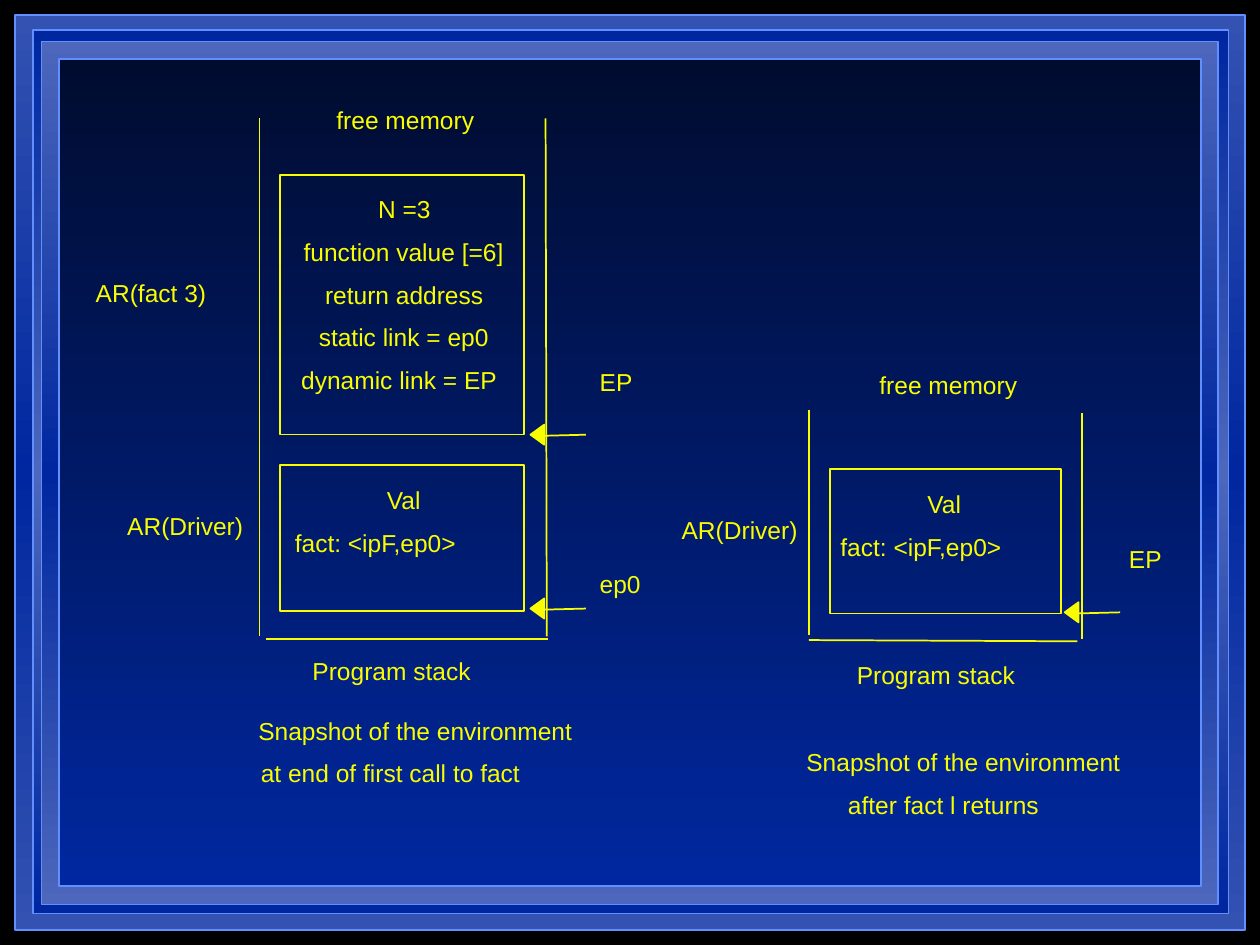
from copy import deepcopy
from pptx import Presentation
from pptx.dml.color import RGBColor as Rgb
from pptx.enum.shapes import MSO_CONNECTOR as Conn, MSO_SHAPE as Kind
from pptx.enum.text import MSO_AUTO_SIZE as Fit
from pptx.oxml.ns import qn
from pptx.util import Inches, Pt
from lxml.etree import SubElement

THEME = {
    "back": "000000", "ink": "FAFD00", "edge": "618FFD",
    "navy": "000C2F", "blue": "00279F", "mid": "3352B2", "pale": "4C67BC",
    "font": "Arial", "size": 14, "line": 1,
}
ROW, PITCH = 0.23, 0.34             # text height, step between rows
SLACK = 0.03                        # spare width that keeps each label on one line
WING, HALF, TAIL = 0.11, 0.08, 0.44  # arrow head length, half height, whole length

# left, top, width, height, colours from top to bottom
FRAMES = [
    (0.12, 0.12, 9.76, 7.26, ("mid", "blue", "mid")),
    (0.26, 0.24, 9.49, 7.01, ("blue", "pale", "blue")),
    (0.33, 0.33, 9.34, 6.85, ("pale", "blue", "pale")),
    (0.47, 0.47, 9.06, 6.56, ("navy", "blue")),
]

# boxes: left, top, width, height; walls: from x, y to x, y; tips: x, y
# texts: top of the first row, then (words, left, width) for each row
STACKS = [
    {
        "boxes": [(2.22, 3.69, 1.94, 1.16), (2.22, 1.39, 1.94, 2.06)],
        "walls": [(2.06, 0.94, 2.06, 5.05), (2.11, 5.07, 4.35, 5.07),
                  (4.33, 0.94, 4.34, 5.05)],
        "tips": [(4.21, 3.45), (4.21, 4.83)],
        "texts": [
            (0.83, [("free memory", 2.67, 1.1)]),
            (1.54, [("N =3", 3.0, 0.42),
                    ("function value [=6]", 2.41, 1.59),
                    ("return address", 2.58, 1.26),
                    ("static link = ep0", 2.53, 1.35),
                    ("dynamic link = EP", 2.39, 1.56)]),
            (2.21, [("AR(fact 3)", 0.76, 0.88)]),
            (2.91, [("EP", 4.76, 0.26)]),
            (3.85, [("Val", 3.07, 0.28), ("fact: <ipF,ep0>", 2.34, 1.3)]),
            (4.06, [("AR(Driver)", 1.01, 0.92)]),
            (4.52, [("ep0", 4.76, 0.33)]),
            (5.21, [("Program stack", 2.48, 1.26)]),
            (5.68, [("Snapshot of the environment", 2.05, 2.49),
                    ("at end of first call to fact", 2.07, 2.06)]),
        ],
    },
    {
        "boxes": [(6.59, 3.72, 1.83, 1.15)],
        "walls": [(6.42, 3.25, 6.42, 5.04), (6.42, 5.08, 8.55, 5.09),
                  (8.59, 3.28, 8.59, 5.07)],
        "tips": [(8.45, 4.86)],
        "texts": [
            (2.94, [("free memory", 6.98, 1.1)]),
            (3.88, [("Val", 7.36, 0.28), ("fact: <ipF,ep0>", 6.67, 1.3)]),
            (4.09, [("AR(Driver)", 5.41, 0.92)]),
            (4.32, [("EP", 8.96, 0.26)]),
            (5.24, [("Program stack", 6.8, 1.26)]),
            (5.93, [("Snapshot of the environment", 6.4, 2.49),
                    ("after fact l returns", 6.73, 1.52)]),
        ],
    },
]


def tint(name):
    return Rgb.from_string(THEME[name])


def inch(*vals):
    return [Inches(val) for val in vals]


def put(item, **vals):
    for name, val in vals.items():
        setattr(item, name, val)


def trace(line, name):
    line.color.rgb = tint(name)
    line.width = Pt(THEME["line"])


def add_box(slide, at, edge):
    box = slide.shapes.add_shape(Kind.RECTANGLE, *inch(*at))
    box.shadow.inherit = False
    trace(box.line, edge)
    return box


def add_frame(slide, at, names):
    """Draw a panel shaded from top to bottom in evenly spaced colours."""
    box = add_box(slide, at, "edge")
    box.fill.gradient()
    box.fill.gradient_angle = 270
    stops = box.element.spPr.find(qn("a:gradFill")).find(qn("a:gsLst"))
    for _ in names[2:]:
        stops.append(deepcopy(stops[0]))
    for num, (stop, name) in enumerate(zip(box.fill.gradient_stops, names)):
        stop.position = num / (len(names) - 1)
        stop.color.rgb = tint(name)


def add_line(slide, *ends):
    line = slide.shapes.add_connector(Conn.STRAIGHT, *inch(*ends))
    trace(line.line, "ink")
    SubElement(line.element.spPr, qn("a:effectLst"))


def add_tip(slide, x, y):
    """Draw an arrow that points left, with its tip at x, y."""
    add_line(slide, x + TAIL, y, x + 0.05, y + 0.01)
    pen = slide.shapes.build_freeform(*inch(x, y))
    pen.add_line_segments([inch(x + WING, y + HALF), inch(x + WING, y - HALF)])
    head = pen.convert_to_shape()
    head.shadow.inherit = False
    head.fill.solid()
    head.fill.fore_color.rgb = tint("ink")
    trace(head.line, "ink")


def add_text(slide, words, x, y, wide):
    frame = slide.shapes.add_textbox(*inch(x, y, wide + SLACK, ROW)).text_frame
    put(frame, margin_left=0, margin_top=0, margin_right=0, margin_bottom=0,
        word_wrap=False, auto_size=Fit.SHAPE_TO_FIT_TEXT)
    run = frame.paragraphs[0].add_run()
    run.text = words
    put(run.font, name=THEME["font"], size=Pt(THEME["size"]))
    run.font.color.rgb = tint("ink")


def add_stack(slide, stack):
    for at in stack["boxes"]:
        add_box(slide, at, "ink").fill.background()
    for ends in stack["walls"]:
        add_line(slide, *ends)
    for x, y in stack["tips"]:
        add_tip(slide, x, y)
    for top, rows in stack["texts"]:
        for num, (words, x, wide) in enumerate(rows):
            add_text(slide, words, x, top + num * PITCH, wide)


def main():
    deck = Presentation()
    put(deck, slide_width=Inches(10), slide_height=Inches(7.5))
    slide = deck.slides.add_slide(deck.slide_layouts[6])
    slide.background.fill.solid()
    slide.background.fill.fore_color.rgb = tint("back")
    for *at, names in FRAMES:
        add_frame(slide, at, names)
    for stack in STACKS:
        add_stack(slide, stack)
    deck.save("out.pptx")


if __name__ == "__main__":
    main()
